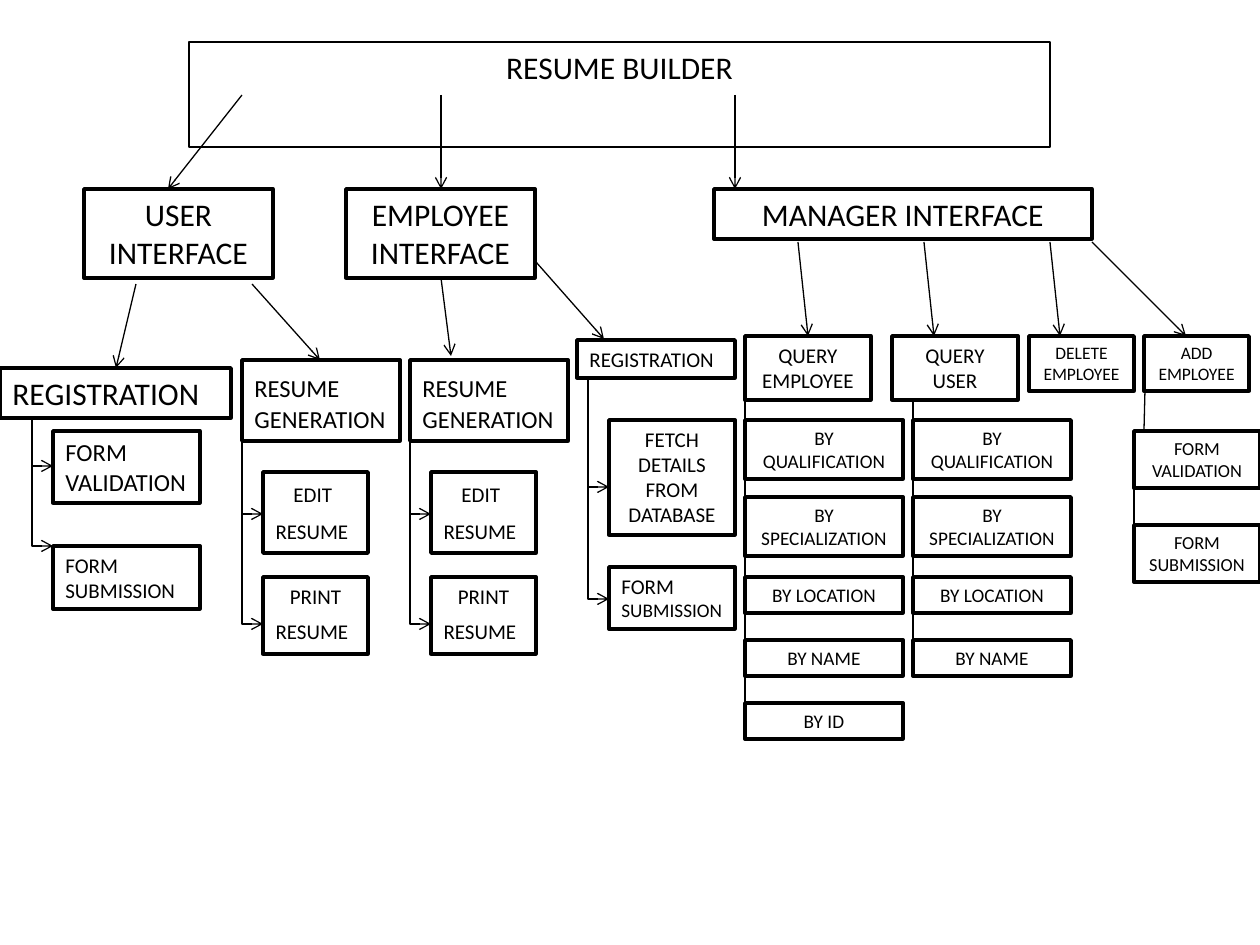
from itertools import pairwise

from lxml.etree import SubElement
from pptx import Presentation
from pptx.dml.color import RGBColor
from pptx.enum.shapes import MSO_CONNECTOR as CONN
from pptx.enum.text import MSO_ANCHOR as ANCHOR, MSO_AUTO_SIZE as AUTO, PP_ALIGN as ALIGN
from pptx.oxml.ns import qn
from pptx.util import Emu, Pt

BLACK = RGBColor(0, 0, 0)
WHITE = RGBColor(255, 255, 255)
FONT = "Calibri"
SCALE = 914400 / 126
ELBOW_W, ELBOW_H = 21, 25


def px(n):
    return Emu(round(n * SCALE))


def style_line(line, width):
    line.color.rgb = BLACK
    line.width = Pt(width)


def style_paragraph(p, size, align):
    p.alignment = align
    p.font.name = FONT
    p.font.size = Pt(size)
    p.font.color.rgb = BLACK


def box(s, x, y, w, h, text, size, align=ALIGN.CENTER, wrap=True):
    """text is a string, or a list of paragraphs made of (text, size) runs."""
    sp = s.shapes.add_textbox(px(x), px(y), px(w), px(h))
    sp.fill.solid()
    sp.fill.fore_color.rgb = WHITE
    style_line(sp.line, 2)
    tf = sp.text_frame
    tf.word_wrap = wrap
    tf.auto_size = AUTO.SHAPE_TO_FIT_TEXT
    paragraphs = [[(text, size)]] if isinstance(text, str) else text
    for i, runs in enumerate(paragraphs):
        p = tf.add_paragraph() if i else tf.paragraphs[0]
        style_paragraph(p, size, align)
        for words, run_size in runs:
            r = p.add_run()
            r.text = words
            if run_size != size:
                r.font.size = Pt(run_size)


def line(s, x1, y1, x2, y2, arrow=False, kind=CONN.STRAIGHT):
    c = s.shapes.add_connector(kind, px(x1), px(y1), px(x2), px(y2))
    style_line(c.line, 0.75)
    if arrow:
        SubElement(c.line._get_or_add_ln(), qn("a:tailEnd"), type="arrow")
    SubElement(c._element.spPr, qn("a:effectLst"))
    return c


def elbow(s, x, y):
    """Arrow that runs down, then right, and ends at (x, y)."""
    cx, cy = x - ELBOW_W / 2, y - ELBOW_H / 2
    c = line(s, cx + ELBOW_H / 2, cy - ELBOW_W / 2,
             cx - ELBOW_H / 2, cy + ELBOW_W / 2, True, CONN.ELBOW)
    spPr = c._element.spPr
    spPr.find(qn("a:prstGeom")).set("prst", "bentConnector2")
    spPr.find(qn("a:xfrm")).set("rot", "16200000")


def spine(s, x, top, ends):
    """Vertical line at x with one elbow arrow for each end height."""
    line(s, x, top, x, ends[-1] - ELBOW_H)
    for y in ends:
        elbow(s, x + ELBOW_W, y)


# Title and the three interfaces
def title(s, x, y, w, h):
    sp = s.shapes.title
    sp.left, sp.top, sp.width, sp.height = px(x), px(y), px(w), px(h)
    style_line(sp.line, 0.75)
    tf = sp.text_frame
    tf.text = "RESUME BUILDER"
    tf.vertical_anchor = ANCHOR.TOP
    tf.auto_size = AUTO.SHAPE_TO_FIT_TEXT
    style_paragraph(tf.paragraphs[0], 18, ALIGN.CENTER)


def interfaces(s, y):
    for x, w, h, name in [(84, 189, 89, "USER"), (346, 189, 89, "EMPLOYEE"),
                          (714, 378, 50, "MANAGER")]:
        box(s, x, y, w, h, name + " INTERFACE", 18)
    for x1, x2 in [(242, 168), (441, 441), (735, 735)]:
        line(s, x1, y - 94, x2, y, True)


# Registration of a user
def user_registration(s, x, y):
    box(s, x, y, 231, 50, "REGISTRATION", 18, ALIGN.LEFT)
    spine(s, x + 32, y + 52, [y + 98, y + 178])
    box(s, x + 53, y + 63, 147, 72, "FORM VALIDATION", 14, ALIGN.LEFT)
    box(s, x + 53, y + 178, 147, 63, "FORM SUBMISSION", 12, ALIGN.LEFT)


# Registration of an employee
def employee_registration(s, x, y):
    box(s, x, y, 158, 38, "REGISTRATION", 12, ALIGN.LEFT)
    spine(s, x + 11, y + 38, [y + 147, y + 259])
    box(s, x + 32, y + 80, 126, 115, "FETCH DETAILS FROM DATABASE", 12)
    box(s, x + 32, y + 227, 126, 62, [[("FORM ", 12), ("SUBMISSION", 11)]],
        12, ALIGN.LEFT)


# Resume generation, the same for users and employees
def resume_generation(s, x, y):
    box(s, x, y, 158, 81, [[("RESUME", 14), (" ", 18)], [("GENERATION", 14)]],
        14, ALIGN.LEFT, wrap=False)
    spine(s, x, y + 81, [y + 154, y + 264])
    resume = [("RESUME", 12), (" ", 18)]
    box(s, x + 21, y + 112, 105, 81, [[("EDIT", 12), (" ", 14)], resume], 12)
    box(s, x + 21, y + 217, 105, 77, [[("PRINT", 12)], resume], 12)


# Manager queries
def query(s, x, y, dx, subject, criteria):
    box(s, x, y, 126, 64, "QUERY " + subject, 12)
    rows = [(84, 59), (161, 59), (241, 36), (304, 36), (367, 36)]
    rows = rows[:len(criteria)]
    for (top, h), name in zip(rows, criteria):
        box(s, x + dx, y + top, 158, h, "BY " + name, 11)
    for (top, h), (next_top, _) in pairwise([(0, 64)] + rows):
        line(s, x + dx, y + top + h, x + dx, y + next_top)


# Manager actions on employees
def employee_actions(s, x, y):
    for dx, action in [(0, "DELETE"), (115, "ADD")]:
        box(s, x + dx, y, 105, 55, action + " EMPLOYEE", 10)
    for dy, step in [(95, "VALIDATION"), (189, "SUBMISSION")]:
        box(s, x + 105, y + dy, 126, 57, "FORM " + step, 10.5)
    line(s, x + 116, y + 55, x + 115, y + 95)
    line(s, x + 105, y + 152, x + 105, y + 189)


prs = Presentation()
prs.slide_width, prs.slide_height = px(1260), px(945)
s = prs.slides.add_slide(prs.slide_layouts[5])

title(s, 189, 42, 861, 50)
interfaces(s, 189)
user_registration(s, 0, 368)
employee_registration(s, 577, 340)
for x in (242, 410):
    resume_generation(s, x, 360)
criteria = ["QUALIFICATION", "SPECIALIZATION", "LOCATION", "NAME", "ID"]
query(s, 745, 336, 0, "EMPLOYEE", criteria)
query(s, 892, 336, 21, "USER", criteria[:-1])
employee_actions(s, 1029, 336)

# Arrows from the interfaces to their functions
for ends in [(136, 284, 116, 368), (252, 284, 320, 360),
             (441, 278, 451, 356), (536, 262, 604, 339),
             (798, 242, 808, 336), (924, 242, 934, 336),
             (1050, 242, 1060, 336), (1092, 242, 1186, 336)]:
    line(s, *ends, arrow=True)

prs.save("out.pptx")
